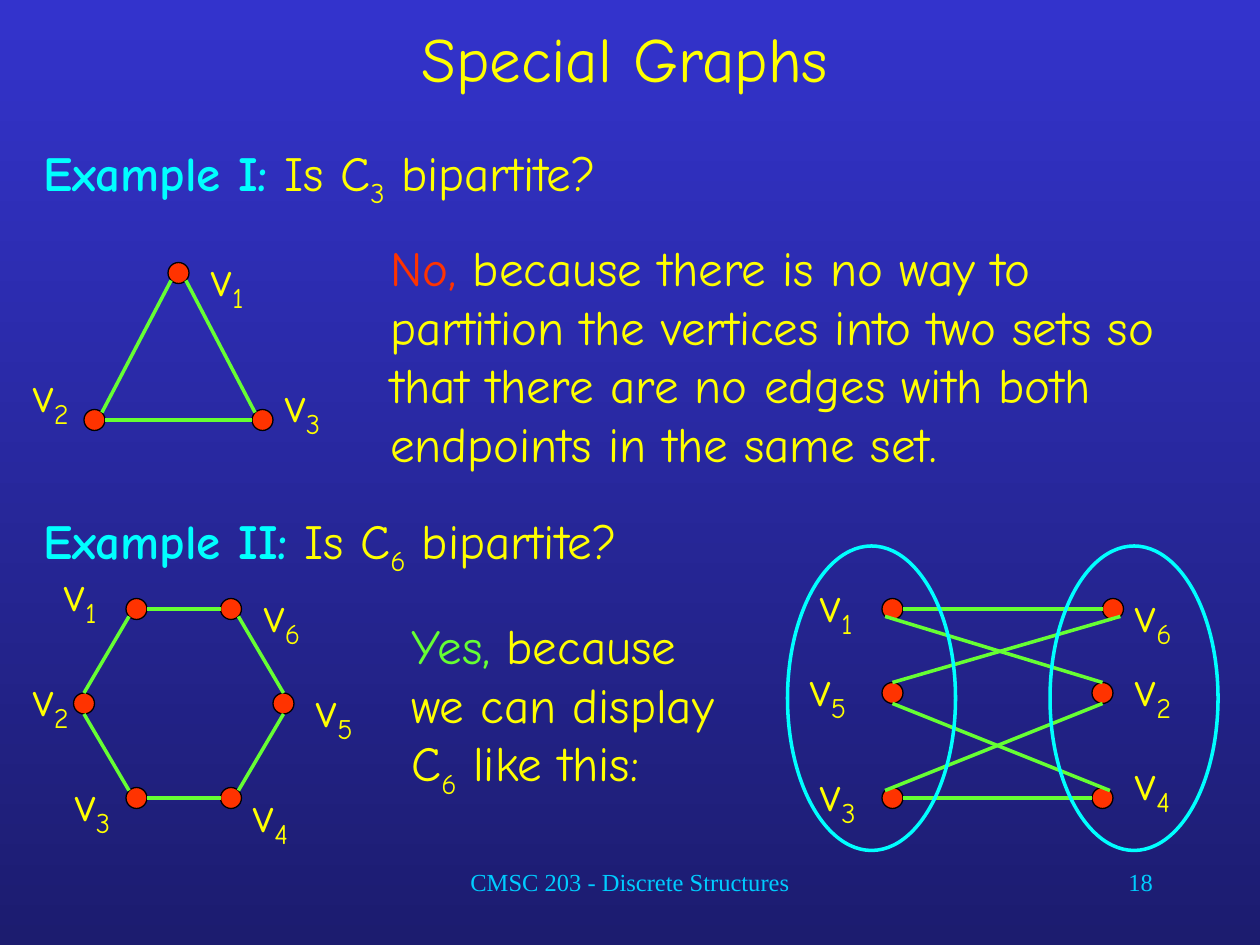
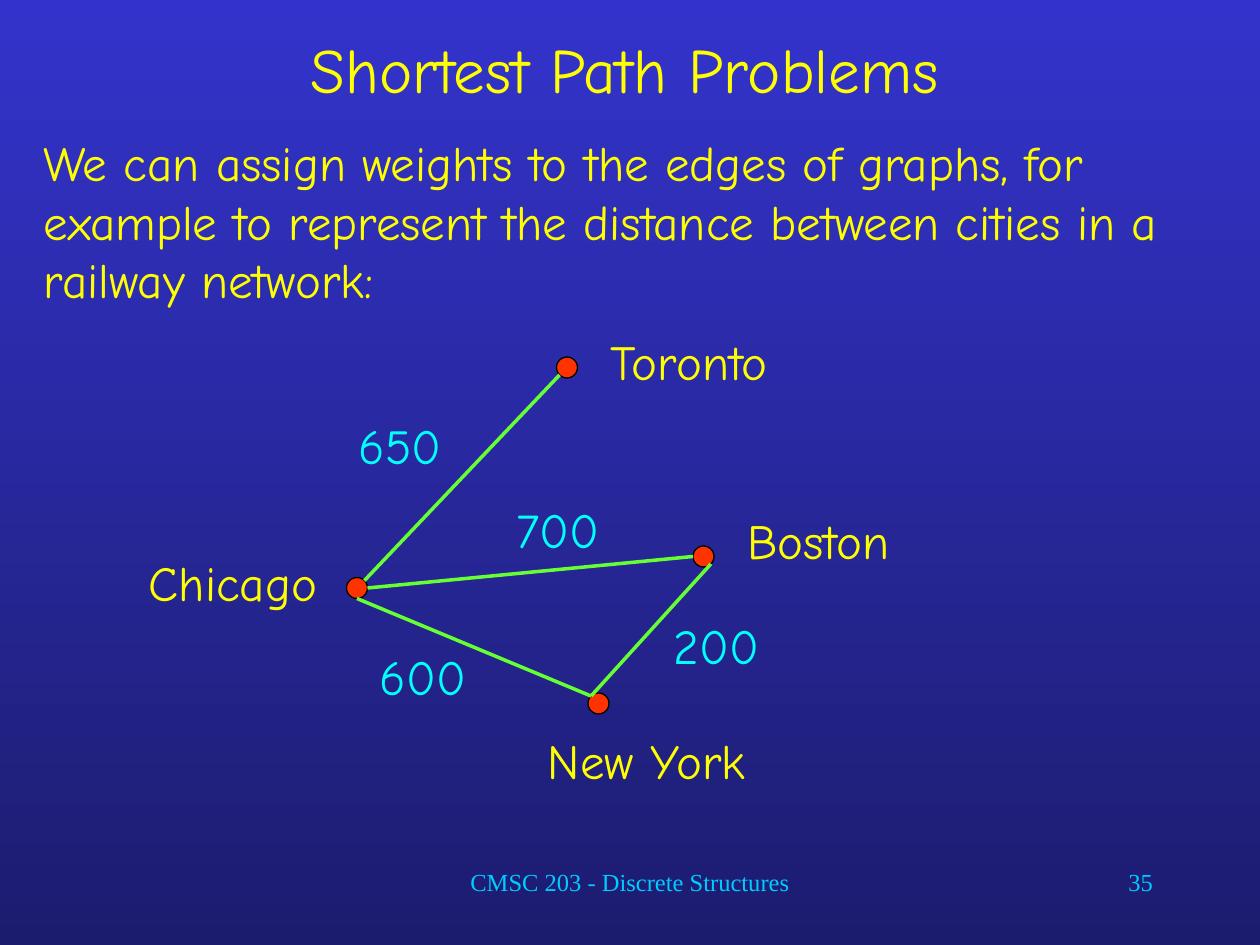
from math import cos, radians, sin

from lxml.etree import SubElement
from pptx import Presentation
from pptx.dml.color import RGBColor
from pptx.enum.shapes import MSO_CONNECTOR, MSO_SHAPE
from pptx.enum.text import MSO_ANCHOR, MSO_AUTO_SIZE, PP_ALIGN
from pptx.oxml.ns import qn
from pptx.util import Inches, Pt

YELLOW = RGBColor(0xFF, 0xFF, 0x00)
CYAN = RGBColor(0x00, 0xFF, 0xFF)
RED = RGBColor(0xFF, 0x33, 0x00)
GREEN = RGBColor(0x66, 0xFF, 0x33)
BLACK = RGBColor(0x00, 0x00, 0x00)
FOOTER_BLUE = RGBColor(0x00, 0xCC, 0xFF)
SKY_BLUE = RGBColor(0x33, 0x33, 0xCC)
NIGHT_BLUE = RGBColor(0x1C, 0x1C, 0x6F)

BODY_FONT = "Comic Neue"
FOOTER_FONT = "Times New Roman"
CELL = Inches(1) / 12
TITLE_ONLY = 5
NODE_RADIUS = 1
SITE_ANGLES = {"e": 0, "se": 45, "s": 90, "sw": 135, "w": 180, "nw": 225, "n": 270, "ne": 315}

TRIANGLE_EDGES = ["v2 ne v1 sw", "v2 e v3 w", "v3 nw v1 se"]
HEXAGON_EDGES = ["v2 s v3 nw", "v3 e v4 w", "v4 ne v5 s", "v5 n v6 se", "v2 n v1 sw", "v1 e v6 w"]
RAILWAY_EDGES = [
    "Toronto sw Chicago ne",
    "Chicago s NewYork nw",
    "Boston se NewYork nw",
    "Chicago e Boston w",
]


def cells(*counts):
    """Turn counts of grid cells (120 columns by 90 rows) into lengths."""
    return [round(count * CELL) for count in counts]


def write_text(shape, runs, size=28, font=BODY_FONT, align=PP_ALIGN.LEFT, before=0, after=0,
               anchor=MSO_ANCHOR.TOP):
    """Write runs of (text, colour, style) as one paragraph; style is "", "bold" or "sub"."""
    frame = shape.text_frame
    frame.word_wrap = True
    frame.auto_size = MSO_AUTO_SIZE.NONE
    frame.vertical_anchor = anchor
    paragraph = frame.paragraphs[0]
    paragraph.alignment = align
    paragraph.space_before, paragraph.space_after = Pt(before), Pt(after)
    for text, colour, style in runs:
        run = paragraph.add_run()
        run.text = text
        run.font.name, run.font.size = font, Pt(size)
        run.font.color.rgb = colour
        run.font.bold = style == "bold"
        if style == "sub":
            run.font._element.set("baseline", "-25000")


def add_text(parent, box, runs, **text_format):
    """Add a text box on the grid."""
    write_text(parent.shapes.add_textbox(*cells(*box)), runs, **text_format)


def add_body(slide, box, runs):
    """Add a block of running text."""
    add_text(slide, box, runs, before=7, after=7)


def add_label(graph, box, runs):
    """Add a label next to a node or an edge."""
    add_text(graph, box, runs, before=17.5)


def add_node(graph, center):
    """Add a round node about its centre."""
    column, row = center
    box = cells(column - NODE_RADIUS, row - NODE_RADIUS, 2 * NODE_RADIUS, 2 * NODE_RADIUS)
    node = graph.shapes.add_shape(MSO_SHAPE.FLOWCHART_CONNECTOR, *box)
    node.shadow.inherit = False
    node.fill.solid()
    node.fill.fore_color.rgb = RED
    node.line.color.rgb = BLACK
    node.line.width = Pt(0.75)


def node_site(center, direction):
    """Return the point of a node's rim in a compass direction."""
    angle = radians(SITE_ANGLES[direction])
    return cells(center[0] + NODE_RADIUS * cos(angle), center[1] + NODE_RADIUS * sin(angle))


def add_edge(graph, start, end):
    """Add an edge between two points."""
    edge = graph.shapes.add_connector(MSO_CONNECTOR.STRAIGHT, *start, *end)
    edge.line.color.rgb = GREEN
    edge.line.width = Pt(2)
    SubElement(edge._element.spPr, qn("a:effectLst"))


def add_graph(slide, nodes, edges):
    """Add a group of nodes joined by edges such as "v1 e v2 w"."""
    graph = slide.shapes.add_group_shape()
    for center in nodes.values():
        add_node(graph, center)
    for edge in edges:
        first, leaving, second, entering = edge.split()
        add_edge(graph, node_site(nodes[first], leaving), node_site(nodes[second], entering))
    return graph


def add_vertex_graph(slide, nodes, edges, label_places):
    """Add a graph whose vertices carry subscripted names."""
    graph = add_graph(slide, nodes, edges)
    for name, place in label_places.items():
        runs = [(name[0], YELLOW, ""), (name[1], YELLOW, "sub")]
        add_label(graph, (*place, 9, 7.5), runs)


def add_set_outline(slide, column):
    """Add the ellipse around one set of vertices."""
    outline = slide.shapes.add_shape(MSO_SHAPE.OVAL, *cells(column, 52, 16, 29))
    outline.shadow.inherit = False
    outline.fill.background()
    outline.line.color.rgb = CYAN
    outline.line.width = Pt(2)


def question(heading, index):
    """Return the runs of an example's question."""
    return [
        (heading, CYAN, "bold"),
        (" Is C", YELLOW, ""),
        (index, YELLOW, "sub"),
        (" bipartite?", YELLOW, ""),
    ]


def add_slide(presentation, title, title_rows, number):
    """Add a slide with its title, footer and number."""
    slide = presentation.slides.add_slide(presentation.slide_layouts[TITLE_ONLY])
    heading = slide.shapes.title
    heading.left, heading.top, heading.width, heading.height = cells(3, 0, 113, title_rows)
    write_text(heading, [(title, YELLOW, "")], size=36, align=PP_ALIGN.CENTER,
               anchor=MSO_ANCHOR.MIDDLE)
    footers = [
        ("CMSC 203 - Discrete Structures", 34, 52, PP_ALIGN.CENTER),
        (number, 86, 25, PP_ALIGN.RIGHT),
    ]
    for text, column, width, align in footers:
        add_text(slide, (column, 82, width, 6), [(text, FOOTER_BLUE, "")],
                 size=14, font=FOOTER_FONT, align=align)
    return slide


def paint_background(master):
    """Give every slide the vertical blue gradient."""
    fill = master.background.fill
    fill.gradient()
    fill.gradient_angle = 270
    for stop, colour in zip(fill.gradient_stops, (SKY_BLUE, NIGHT_BLUE)):
        stop.color.rgb = colour


def build_special_graphs(presentation):
    """Build the slide on bipartite cycles."""
    slide = add_slide(presentation, "Special Graphs", 11, "18")
    add_body(slide, (3, 13, 65, 8), question("Example I:", "3"))
    add_vertex_graph(
        slide,
        {"v1": (17, 26), "v2": (9, 40), "v3": (25, 40)},
        TRIANGLE_EDGES,
        {"v1": (19, 23), "v2": (2, 34), "v3": (26, 35)},
    )
    add_body(slide, (36, 22, 81, 17), [
        ("No,", RED, ""),
        (" because there is no way to partition the vertices into two sets so that "
         "there are no edges with both endpoints in the same set.", YELLOW, ""),
    ])
    add_body(slide, (3, 48, 69, 8), question("Example II:", "6"))
    add_vertex_graph(
        slide,
        {"v1": (13, 58), "v2": (8, 67), "v3": (13, 76),
         "v4": (22, 76), "v5": (27, 67), "v6": (22, 58)},
        HEXAGON_EDGES,
        {"v1": (5, 53), "v2": (2, 63), "v3": (6, 73),
         "v4": (23, 74), "v5": (29, 64), "v6": (24, 55)},
    )
    add_vertex_graph(
        slide,
        {"v1": (85, 58), "v5": (85, 66), "v3": (85, 76),
         "v6": (106, 58), "v2": (105, 66), "v4": (105, 76)},
        HEXAGON_EDGES,
        {"v1": (77, 54), "v5": (76, 62), "v3": (77, 72),
         "v6": (107, 55), "v2": (107, 62), "v4": (107, 71)},
    )
    add_body(slide, (38, 58, 34, 19), [
        ("Yes, ", GREEN, ""),
        ("because we can display C", YELLOW, ""),
        ("6", YELLOW, "sub"),
        (" like this:", YELLOW, ""),
    ])
    for column in (75, 100):
        add_set_outline(slide, column)


def build_shortest_path(presentation):
    """Build the slide on the weighted railway network."""
    slide = add_slide(presentation, "Shortest Path Problems", 13, "35")
    add_body(slide, (3, 12, 115, 27), [
        ("We can assign weights to the edges of graphs, for example to represent "
         "the distance between cities in a railway network:", YELLOW, ""),
    ])
    cities = {"Chicago": (34, 56), "Toronto": (54, 35), "Boston": (67, 53), "NewYork": (57, 67)}
    network = add_graph(slide, cities, RAILWAY_EDGES)
    labels = [
        ("Chicago", 13, 52, 20, YELLOW),
        ("Toronto", 57, 31, 20, YELLOW),
        ("New York", 51, 69, 28, YELLOW),
        ("Boston", 70, 48, 20, YELLOW),
        ("600", 35, 61, 13, CYAN),
        ("700", 48, 47, 13, CYAN),
        ("200", 63, 58, 13, CYAN),
        ("650", 33, 39, 13, CYAN),
    ]
    for text, column, row, width, colour in labels:
        add_label(network, (column, row, width, 6.8), [(text, colour, "")])


def main():
    """Build and save the presentation."""
    presentation = Presentation()
    presentation.slide_width, presentation.slide_height = cells(120, 90)
    paint_background(presentation.slide_master)
    build_special_graphs(presentation)
    build_shortest_path(presentation)
    presentation.save("out.pptx")


if __name__ == "__main__":
    main()
